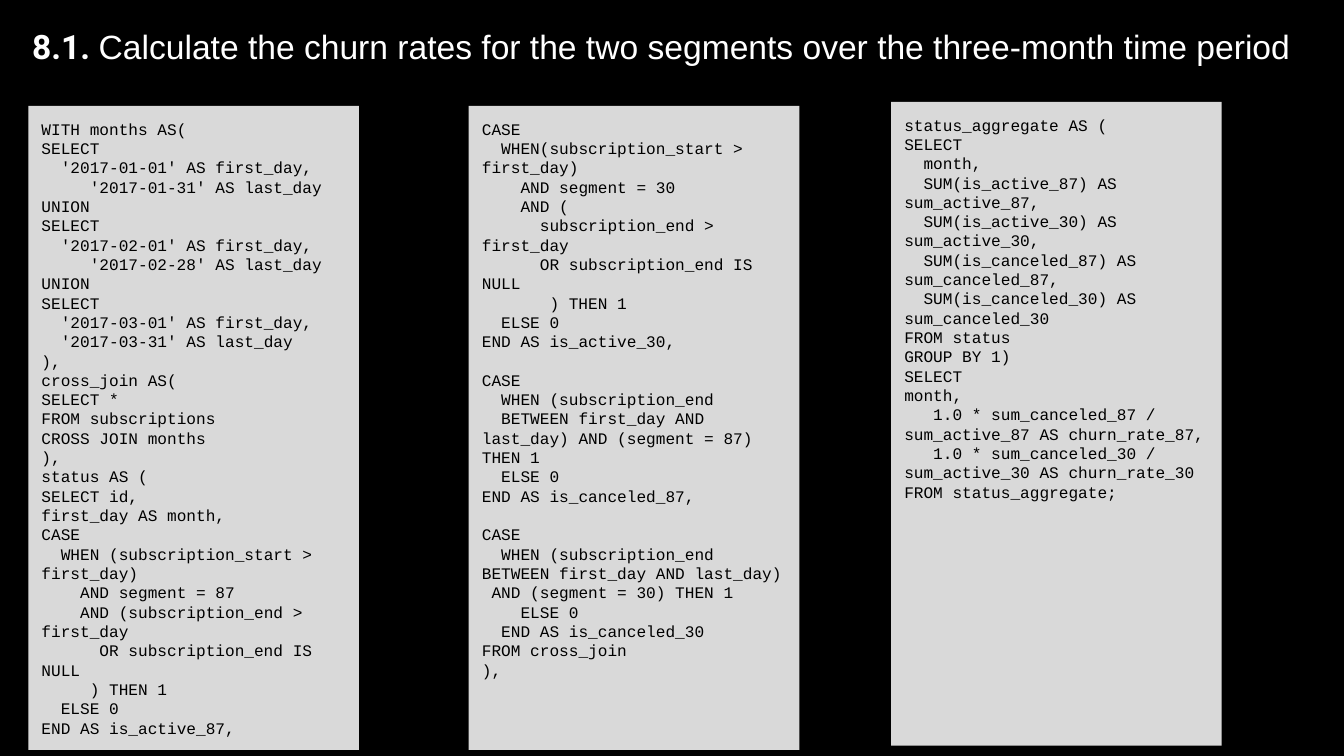
import pptx
import pptx.dml.color
import pptx.enum.shapes
import pptx.enum.text
import pptx.util

Pt = pptx.util.Pt
RGB = pptx.dml.color.RGBColor
BLACK = RGB(0, 0, 0)
WHITE = RGB(255, 255, 255)
GRAY = RGB(0xD9, 0xD9, 0xD9)

INSET = 9.4
SIZE = 11.5
CHAR = SIZE * 0.6
PITCH = 13.8

MONTHS = """\
WITH months AS(
SELECT
  '2017-01-01' AS first_day,
     '2017-01-31' AS last_day
UNION
SELECT
  '2017-02-01' AS first_day,
     '2017-02-28' AS last_day
UNION
SELECT
  '2017-03-01' AS first_day,
  '2017-03-31' AS last_day
),
cross_join AS(
SELECT *
FROM subscriptions
CROSS JOIN months
),
status AS (
SELECT id,
first_day AS month,
CASE
  WHEN (subscription_start > first_day)
    AND segment = 87
    AND (subscription_end > first_day
      OR subscription_end IS NULL
     ) THEN 1
  ELSE 0
END AS is_active_87,"""

STATUS = """\
CASE
  WHEN(subscription_start > first_day)
    AND segment = 30
    AND (
      subscription_end > first_day
      OR subscription_end IS NULL
       ) THEN 1
  ELSE 0
END AS is_active_30,

CASE
  WHEN (subscription_end
  BETWEEN first_day AND last_day) AND (segment = 87) THEN 1
  ELSE 0
END AS is_canceled_87,

CASE
  WHEN (subscription_end
BETWEEN first_day AND last_day)
 AND (segment = 30) THEN 1
    ELSE 0
  END AS is_canceled_30
FROM cross_join
),"""

TOTALS = """\
status_aggregate AS (
SELECT
  month,
  SUM(is_active_87) AS sum_active_87,
  SUM(is_active_30) AS sum_active_30,
  SUM(is_canceled_87) AS sum_canceled_87,
  SUM(is_canceled_30) AS sum_canceled_30
FROM status
GROUP BY 1)
SELECT
month,
   1.0 * sum_canceled_87 / sum_active_87 AS churn_rate_87,
   1.0 * sum_canceled_30 / sum_active_30 AS churn_rate_30
FROM status_aggregate;"""


def add_run(para, text, font, size, color, bold=False):
    """Append one formatted run to a paragraph."""
    run = para.add_run()
    run.text = text
    run.font.name = font
    run.font.size = Pt(size)
    run.font.color.rgb = color
    run.font.bold = bold


def set_frame(frame, anchor):
    """Give a text frame its insets, wrapping and anchor."""
    frame.margin_left = frame.margin_right = Pt(INSET)
    frame.margin_top = frame.margin_bottom = Pt(INSET)
    frame.word_wrap = True
    frame.auto_size = pptx.enum.text.MSO_AUTO_SIZE.NONE
    frame.vertical_anchor = anchor


def add_title(slide, left, top, width, height):
    """Place the numbered heading in the title placeholder."""
    title = slide.shapes.title
    title.left, title.top = Pt(left), Pt(top)
    title.width, title.height = Pt(width), Pt(height)
    set_frame(title.text_frame, pptx.enum.text.MSO_ANCHOR.BOTTOM)
    para = title.text_frame.paragraphs[0]
    para.alignment = pptx.enum.text.PP_ALIGN.CENTER
    add_run(para, "8.1. ", "Roboto", 24, WHITE, True)
    add_run(para, "Calculate the churn rates for the two segments "
            "over the three-month time period", "Arial", 24, WHITE)


def add_code(slide, code, left, top, width, height):
    """Draw a panel of code, with indents for leading spaces."""
    panel = slide.shapes.add_shape(
        pptx.enum.shapes.MSO_SHAPE.RECTANGLE,
        Pt(left), Pt(top), Pt(width), Pt(height))
    panel.shadow.inherit = False
    panel.fill.solid()
    panel.fill.fore_color.rgb = GRAY
    panel.line.fill.background()
    frame = panel.text_frame
    set_frame(frame, pptx.enum.text.MSO_ANCHOR.TOP)
    para, gap = frame.paragraphs[0], 0
    for line in code.splitlines():
        text = line.lstrip()
        if not text:
            gap = PITCH
            continue
        if para.runs:
            para = frame.add_paragraph()
        para.alignment = pptx.enum.text.PP_ALIGN.LEFT
        para.line_spacing = Pt(PITCH)
        para.space_before = Pt(gap)
        props = para._p.get_or_add_pPr()
        props.set("marL", "0")
        props.set("indent", str(Pt(CHAR * (len(line) - len(text)))))
        add_run(para, text, "Courier New", SIZE, BLACK)
        gap = 0


def main():
    """Build the slide and save it."""
    deck = pptx.Presentation()
    deck.slide_width, deck.slide_height = Pt(960), Pt(540)
    slide = deck.slides.add_slide(deck.slide_layouts[5])
    slide.background.fill.solid()
    slide.background.fill.fore_color.rgb = BLACK
    add_title(slide, 0, 15.1, 944.6, 41.8)
    panels = [(MONTHS, 20.2, 75.6), (STATUS, 334.8, 75.6),
              (TOTALS, 636.5, 72.7)]
    for code, left, top in panels:
        add_code(slide, code, left, top, 236.2, 460)
    deck.save("out.pptx")


if __name__ == "__main__":
    main()
